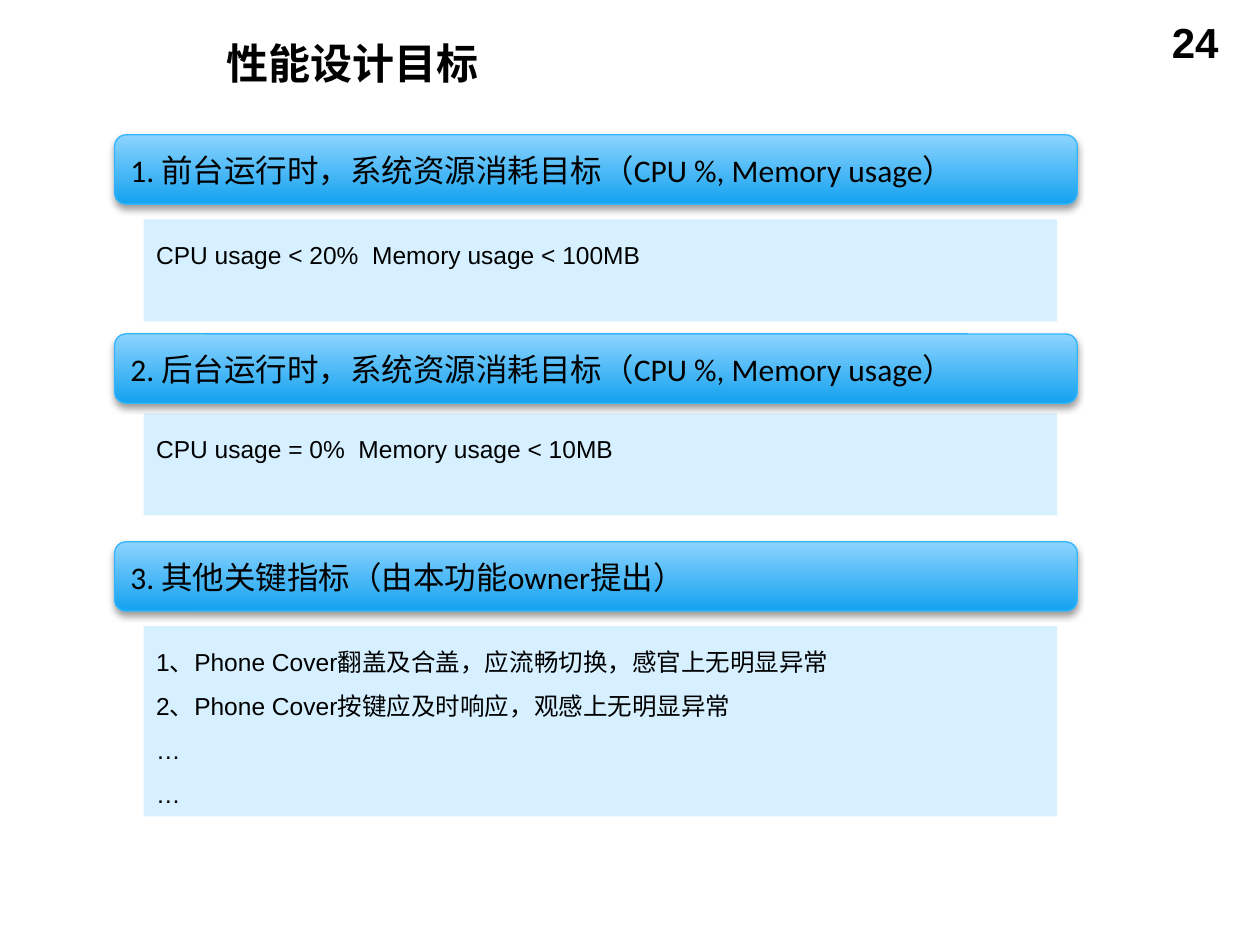
from lxml import etree
from pptx import Presentation
from pptx import util as u
from pptx.dml.color import RGBColor
from pptx.enum import shapes, text
from pptx.oxml import ns

COLORS = {
    "text": "000000",
    "header_top": "8CD3FF",
    "header_bottom": "14A2EF",
    "header_line": "31B6FD",
    "body": "D6F0FF",
    "shadow": "000000",
}

SECTIONS = [
    (1.07, "1. 前台运行时，系统资源消耗目标（CPU %, Memory usage）",
     1.74, 0.81, ["CPU usage < 20%  Memory usage < 100MB"]),
    (2.65, "2. 后台运行时，系统资源消耗目标（CPU %, Memory usage）",
     3.28, 0.81, ["CPU usage = 0%  Memory usage < 10MB"]),
    (4.3, "3. 其他关键指标（由本功能owner提出）",
     4.97, 1.51, ["1、Phone Cover翻盖及合盖，应流畅切换，感官上无明显异常",
                  "2、Phone Cover按键应及时响应，观感上无明显异常",
                  "…", "…"]),
]


def color(name):
    return RGBColor.from_string(COLORS[name])


def write_lines(shape, lines, size, font, bold=False,
                align=text.PP_ALIGN.LEFT, spacing=None,
                anchor=text.MSO_ANCHOR.TOP):
    frame = shape.text_frame
    frame.word_wrap = True
    frame.vertical_anchor = anchor
    for index, line in enumerate(lines):
        paragraph = frame.add_paragraph() if index else frame.paragraphs[0]
        paragraph.text = line
        paragraph.alignment = align
        paragraph.line_spacing = spacing
        paragraph.font.size = u.Pt(size)
        paragraph.font.name = font
        paragraph.font.bold = bold
        paragraph.font.color.rgb = color("text")


def add_label(slide, box, label, font, align=text.PP_ALIGN.LEFT):
    shape = slide.shapes.add_textbox(*map(u.Inches, box))
    write_lines(shape, [label], 24, font, bold=True, align=align)


def add_soft_shadow(shape):
    shape.shadow.inherit = False
    effects = shape._element.spPr.find(ns.qn("a:effectLst"))
    shadow = etree.SubElement(
        effects, ns.qn("a:outerShdw"), blurRad=str(u.Pt(4)),
        dist=str(u.Pt(2)), dir="5400000", rotWithShape="0")
    shade = etree.SubElement(shadow, ns.qn("a:srgbClr"), val=COLORS["shadow"])
    etree.SubElement(shade, ns.qn("a:alpha"), val="38000")


def add_header(slide, top, label):
    shape = slide.shapes.add_shape(
        shapes.MSO_SHAPE.ROUNDED_RECTANGLE,
        u.Inches(0.91), u.Inches(top), u.Inches(7.64), u.Inches(0.55))
    shape.fill.gradient()
    shape.fill.gradient_angle = 270
    for stop, position, name in zip(shape.fill.gradient_stops, (0, 1),
                                    ("header_top", "header_bottom")):
        stop.position = position
        stop.color.rgb = color(name)
    shape.line.color.rgb = color("header_line")
    shape.line.width = u.Pt(0.75)
    add_soft_shadow(shape)
    write_lines(shape, [label], 18, "Calibri", anchor=text.MSO_ANCHOR.MIDDLE)


def add_body(slide, top, height, lines):
    shape = slide.shapes.add_shape(
        shapes.MSO_SHAPE.RECTANGLE,
        u.Inches(1.14), u.Inches(top), u.Inches(7.25), u.Inches(height))
    shape.fill.solid()
    shape.fill.fore_color.rgb = color("body")
    shape.line.fill.background()
    shape.shadow.inherit = False
    write_lines(shape, lines, 14, "Arial", spacing=1.5)


def main():
    presentation = Presentation()
    presentation.slide_width = u.Inches(10)
    presentation.slide_height = u.Inches(7.5)
    slide = presentation.slides.add_slide(presentation.slide_layouts[6])
    add_label(slide, (7.44, 0.08, 2.33, 0.52), "24", "Arial",
              text.PP_ALIGN.RIGHT)
    add_label(slide, (1.7, 0.25, 7.63, 0.5), "性能设计目标", "Calibri")
    for header_top, label, body_top, body_height, lines in SECTIONS:
        add_body(slide, body_top, body_height, lines)
        add_header(slide, header_top, label)
    presentation.save("out.pptx")


if __name__ == "__main__":
    main()
